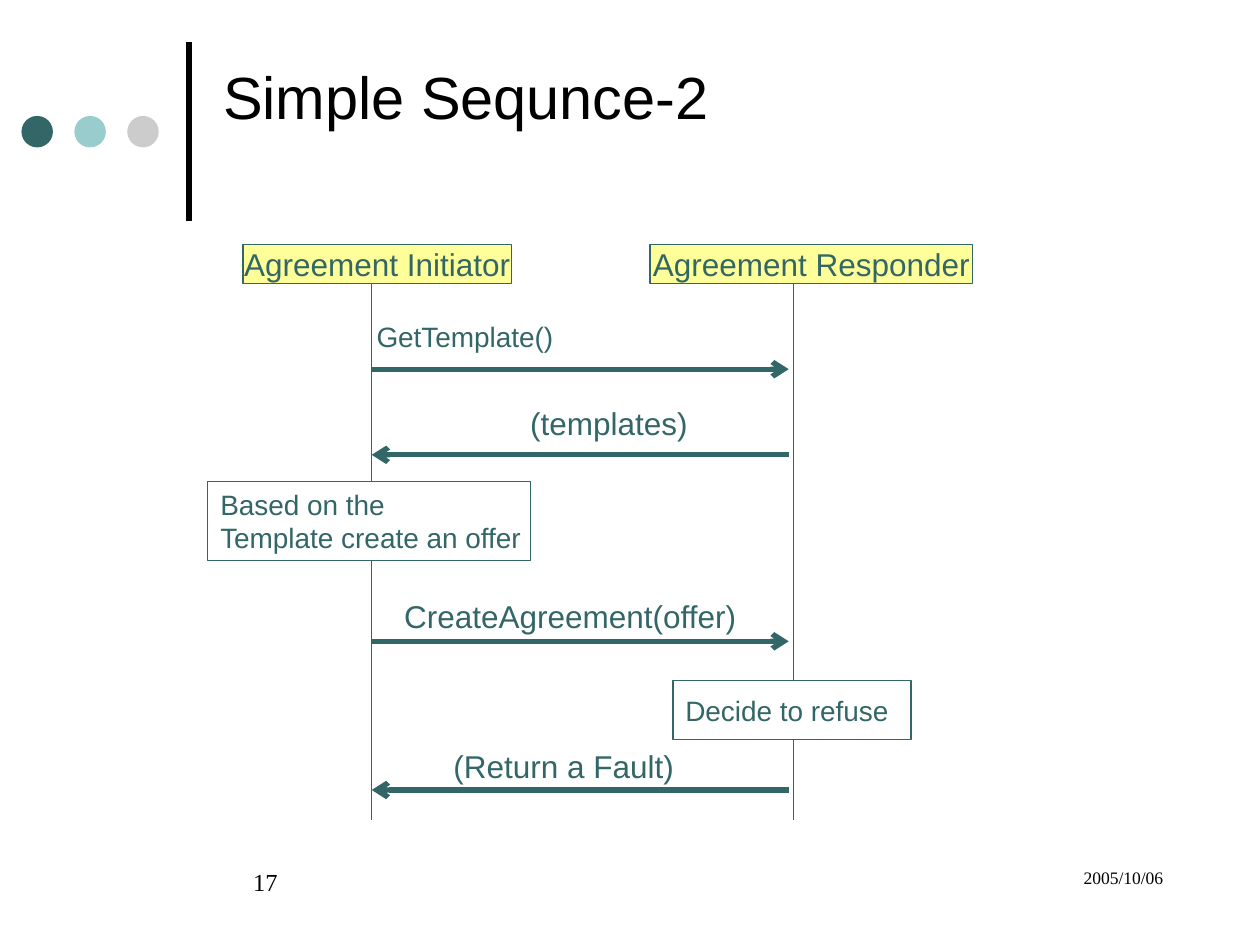
from dataclasses import dataclass
from typing import Optional

from lxml import etree
from pptx import Presentation
from pptx import util as u
from pptx.dml.color import RGBColor
from pptx.enum import shapes, text
from pptx.oxml import ns

PX = 9144  # EMU per px, 100 px to the inch


@dataclass(frozen=True)
class Theme:
    ink: str = "000000"
    teal: str = "336666"
    aqua: str = "99CCCC"
    grey: str = "CCCCCC"
    yellow: str = "FFFF99"
    white: str = "FFFFFF"
    sans: str = "Arial"
    serif: str = "Times New Roman"
    title: int = 34
    large: int = 18
    medium: int = 16
    number: int = 14
    date: int = 10
    thin: float = 0.75
    thick: float = 3


@dataclass(frozen=True)
class Rect:
    left: int
    top: int
    width: int
    height: int

    def emu(self) -> list[int]:
        return [v * PX for v in (self.left, self.top, self.width, self.height)]


@dataclass(frozen=True)
class Participant:
    name: str
    rect: Rect
    axis: int


@dataclass(frozen=True)
class Message:
    label: str
    label_rect: Rect
    size: int
    y: int
    reply: bool = False


@dataclass(frozen=True)
class Note:
    lines: tuple[str, ...]
    rect: Rect


THEME = Theme()
HEAD_TOP, HEAD_HEIGHT, LIFELINE_END = 194, 31, 651
MESSAGE_LEFT, MESSAGE_RIGHT = 295, 626
DOT_LEFT, DOT_TOP, DOT_SIZE, DOT_STEP = 17, 92, 25, 42

PARTICIPANTS = (
    Participant("Agreement Initiator", Rect(193, HEAD_TOP, 213, HEAD_HEIGHT), 295),
    Participant("Agreement Responder", Rect(516, HEAD_TOP, 256, HEAD_HEIGHT), 630),
)
MESSAGES = (
    Message("GetTemplate()", Rect(289, 249, 163, 37), THEME.medium, 293),
    Message("(templates)", Rect(411, 316, 145, 40), THEME.large, 361, reply=True),
    Message("CreateAgreement(offer)", Rect(311, 469, 284, 40), THEME.large, 509),
    Message("(Return a Fault)", Rect(350, 588, 195, 40), THEME.large, 627, reply=True),
)
NOTES = (
    Note(("Based on the", "Template create an offer"), Rect(165, 382, 256, 63)),
    Note(("Decide to refuse",), Rect(534, 540, 189, 47)),
)


def write(box, *lines: str, size: int, color: str = THEME.teal, font: str = THEME.sans,
          align=text.PP_ALIGN.LEFT, anchor=text.MSO_ANCHOR.TOP, wrap: bool = False,
          fit=text.MSO_AUTO_SIZE.NONE, indent: int = 0) -> None:
    frame = box.text_frame
    frame.text = "\n".join(lines)
    frame.auto_size = fit
    frame.word_wrap = wrap
    frame.vertical_anchor = anchor
    for para in frame.paragraphs:
        para.alignment = align
        if indent:
            properties = para._p.get_or_add_pPr()
            properties.set("marL", str(indent * PX))
            properties.set("indent", "0")
        for span in para.runs:
            span.font.name = font
            span.font.size = u.Pt(size)
            span.font.color.rgb = RGBColor.from_string(color)


def add_filled(page, kind, rect: Rect, fill: str, line: Optional[str] = None):
    box = page.shapes.add_shape(kind, *rect.emu())
    box.shadow.inherit = False
    box.fill.solid()
    box.fill.fore_color.rgb = RGBColor.from_string(fill)
    if line:
        box.line.color.rgb = RGBColor.from_string(line)
        box.line.width = u.Pt(THEME.thin)
    else:
        box.line.fill.background()
    return box


def add_line(page, x1: int, y1: int, x2: int, y2: int, color: str, width: float,
             arrow: Optional[str] = None) -> None:
    """Draw a straight line; arrow is the end that gets a head, headEnd or tailEnd."""
    line = page.shapes.add_connector(
        shapes.MSO_CONNECTOR.STRAIGHT, x1 * PX, y1 * PX, x2 * PX, y2 * PX)
    line.line.color.rgb = RGBColor.from_string(color)
    line.line.width = u.Pt(width)
    if arrow:
        etree.SubElement(line.line._get_or_add_ln(), ns.qn(f"a:{arrow}"), type="arrow")
    etree.SubElement(line._element.spPr, ns.qn("a:effectLst"))


def add_text(page, rect: Rect, content: str, **style) -> None:
    write(page.shapes.add_textbox(*rect.emu()), content, **style)


def add_participant(page, item: Participant) -> None:
    box = add_filled(page, shapes.MSO_SHAPE.RECTANGLE, item.rect, THEME.yellow, THEME.teal)
    write(box, item.name, size=THEME.large, align=text.PP_ALIGN.CENTER,
          anchor=text.MSO_ANCHOR.MIDDLE)
    add_line(page, item.axis, HEAD_TOP + HEAD_HEIGHT, item.axis, LIFELINE_END,
             THEME.teal, THEME.thin)


def add_message(page, item: Message) -> None:
    add_line(page, MESSAGE_LEFT, item.y, MESSAGE_RIGHT, item.y, THEME.teal, THEME.thick,
             arrow="headEnd" if item.reply else "tailEnd")
    add_text(page, item.label_rect, item.label, size=item.size,
             fit=text.MSO_AUTO_SIZE.SHAPE_TO_FIT_TEXT)


def add_note(page, item: Note) -> None:
    box = add_filled(page, shapes.MSO_SHAPE.RECTANGLE, item.rect, THEME.white, THEME.teal)
    write(box, *item.lines, size=THEME.medium, anchor=text.MSO_ANCHOR.MIDDLE)


def add_header(page, title: str) -> None:
    add_line(page, 150, 175, 150, 33, THEME.ink, THEME.thick)
    for i, color in enumerate((THEME.teal, THEME.aqua, THEME.grey)):
        dot = Rect(DOT_LEFT + i * DOT_STEP, DOT_TOP, DOT_SIZE, DOT_SIZE)
        add_filled(page, shapes.MSO_SHAPE.OVAL, dot, color)
    box = page.shapes.title
    box.left, box.top, box.width, box.height = Rect(167, 21, 767, 110).emu()
    write(box, title, size=THEME.title, color=THEME.ink, wrap=True,
          anchor=text.MSO_ANCHOR.MIDDLE)


def add_footer(page, number: str, date: str) -> None:
    style = dict(color=THEME.ink, font=THEME.serif, wrap=True, indent=24)
    add_text(page, Rect(167, 683, 142, 50), number, size=THEME.number, **style)
    add_text(page, Rect(725, 683, 208, 50), date, size=THEME.date,
             align=text.PP_ALIGN.RIGHT, **style)


def main() -> None:
    deck = Presentation()
    deck.slide_width, deck.slide_height = 1000 * PX, 750 * PX
    page = deck.slides.add_slide(deck.slide_layouts.get_by_name("Title Only"))
    add_header(page, "Simple Sequnce-2")
    for participant in PARTICIPANTS:
        add_participant(page, participant)
    for message in MESSAGES:
        add_message(page, message)
    for note in NOTES:
        add_note(page, note)
    add_footer(page, "17", "2005/10/06")
    deck.save("out.pptx")


if __name__ == "__main__":
    main()
